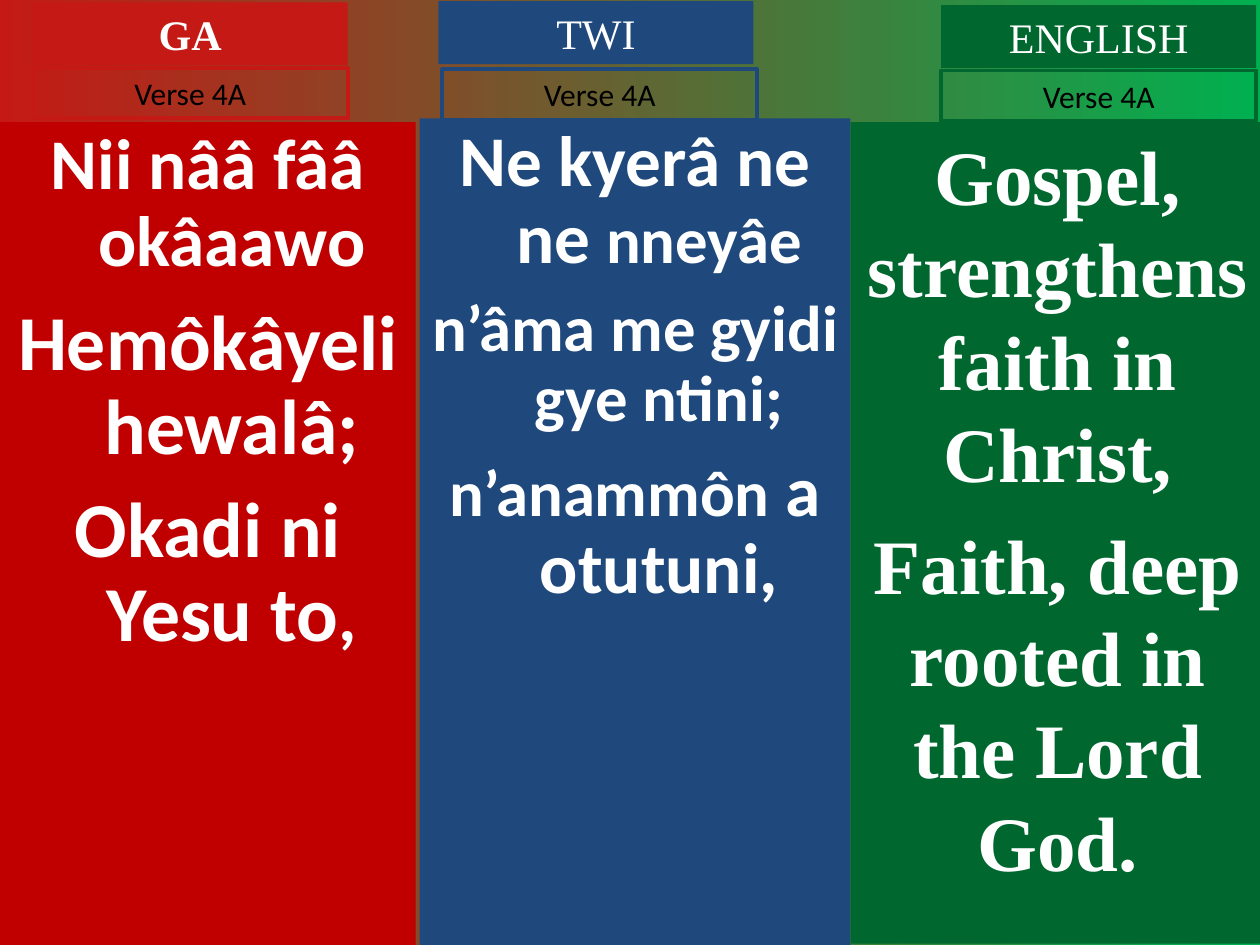
from pptx import Presentation
from pptx.dml.color import RGBColor
from pptx.enum.shapes import MSO_SHAPE
from pptx.enum.text import MSO_ANCHOR, MSO_AUTO_SIZE, PP_ALIGN
from pptx.util import Inches, Pt

SLIDE_SIZE = 10, 7.5
BACKGROUND = "C51915", "00B050"
WHITE, BLACK = "FFFFFF", "000000"
SANS, SERIF = "Calibri", "Times New Roman"
LABEL_WIDTH, TITLE_HEIGHT, VERSE_HEIGHT = 2.5, 0.5, 0.4
VERSE = "Verse 4A"
HANGING = 0.38

# Each paragraph is (space before, [(text, size), ...]); positions are (left, top).
COLUMNS = [
    dict(title="GA", title_bold=True, title_at=(0.26, 0.02), verse_at=(0.26, 0.54),
         label_color="C51915", color="C00000", box=(0, 0.97, 3.3, 6.53),
         font=SANS, hanging=HANGING, line_spacing=0.9,
         lyrics=[(0, [("Nii nââ fââ okâaawo", 40.7)]),
                 (12, [("Hemôkâyeli hewalâ;", 44.4)]),
                 (11, [("Okadi ni Yesu to", 44.4), (",", 40.7)])]),
    dict(title="TWI", title_bold=False, title_at=(3.48, 0.01), verse_at=(3.51, 0.55),
         label_color="1F497D", color="1F497D", box=(3.33, 0.94, 3.42, 6.56),
         font=SANS, hanging=HANGING, line_spacing=0.9,
         lyrics=[(0, [("Ne kyerâ ne ne ", 40.7), ("nneyâe", 37)]),
                 (10, [("n’âma me gyidi gye ntini;", 37)]),
                 (11, [("n’anammôn", 37), (" a otutuni,", 40.7)])]),
    dict(title="ENGLISH", title_bold=False, title_at=(7.47, 0.04), verse_at=(7.47, 0.56),
         label_color="00682F", color="00682F", box=(6.75, 0.97, 3.29, 6.52),
         font=SERIF, hanging=0, line_spacing=1,
         lyrics=[(0, [("Gospel, strengthens faith in Christ,", 44)]),
                 (11, [("Faith, deep rooted in the Lord God.", 44)])]),
]


def rgb(color):
    return RGBColor.from_string(color)


def add_box(slide, box, fill=None, line=None):
    shape = slide.shapes.add_shape(MSO_SHAPE.RECTANGLE, *map(Inches, box))
    shape.shadow.inherit = False
    if fill:
        shape.fill.solid()
        shape.fill.fore_color.rgb = rgb(fill)
    else:
        shape.fill.background()
    if line:
        shape.line.color.rgb = rgb(line)
        shape.line.width = Pt(2.25)
    else:
        shape.line.fill.background()
    return shape


def write(shape, paragraphs, font, color, bold=False, hanging=0, line_spacing=1,
          auto_size=MSO_AUTO_SIZE.NONE):
    frame = shape.text_frame
    layout = dict(word_wrap=True, vertical_anchor=MSO_ANCHOR.TOP, auto_size=auto_size)
    for name, value in layout.items():
        setattr(frame, name, value)
    for index, (space_before, runs) in enumerate(paragraphs):
        paragraph = frame.add_paragraph() if index else frame.paragraphs[0]
        paragraph.alignment = PP_ALIGN.CENTER
        paragraph.line_spacing = line_spacing
        paragraph.space_before = Pt(space_before)
        if hanging:
            properties = paragraph._p.get_or_add_pPr()
            properties.set("marL", str(Inches(hanging)))
            properties.set("indent", str(-Inches(hanging)))
        for text, size in runs:
            run = paragraph.add_run()
            run.text = text
            run.font.color.rgb = rgb(color)
            for name, value in dict(name=font, size=Pt(size), bold=bold).items():
                setattr(run.font, name, value)


def add_column(slide, column):
    lyrics = add_box(slide, column["box"], fill=column["color"])
    write(lyrics, column["lyrics"], column["font"], WHITE, True,
          column["hanging"], column["line_spacing"])
    title = add_box(slide, (*column["title_at"], LABEL_WIDTH, TITLE_HEIGHT),
                    fill=column["label_color"])
    write(title, [(0, [(column["title"], 24)])], SERIF, WHITE, column["title_bold"],
          auto_size=MSO_AUTO_SIZE.SHAPE_TO_FIT_TEXT)
    verse = add_box(slide, (*column["verse_at"], LABEL_WIDTH, VERSE_HEIGHT),
                    line=column["label_color"])
    write(verse, [(0, [(VERSE, 18)])], SANS, BLACK,
          auto_size=MSO_AUTO_SIZE.SHAPE_TO_FIT_TEXT)


def main():
    presentation = Presentation()
    presentation.slide_width, presentation.slide_height = map(Inches, SLIDE_SIZE)
    slide = presentation.slides.add_slide(presentation.slide_layouts[6])
    fill = slide.background.fill
    fill.gradient()
    fill.gradient_angle = 0
    for stop, color, position in zip(fill.gradient_stops, BACKGROUND, (0, 1)):
        stop.color.rgb = rgb(color)
        stop.position = position
    for column in COLUMNS:
        add_column(slide, column)
    presentation.save("out.pptx")


if __name__ == "__main__":
    main()
